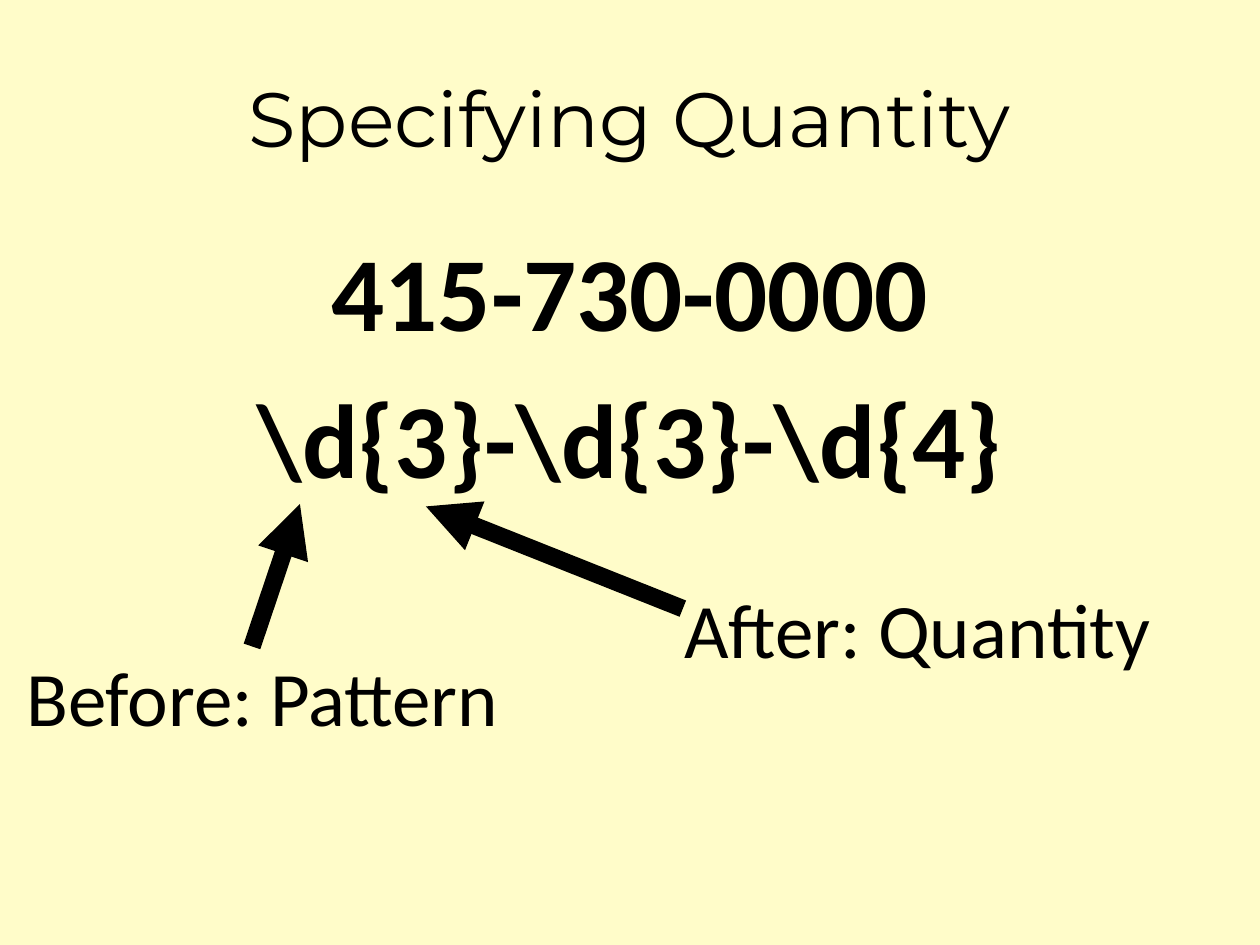
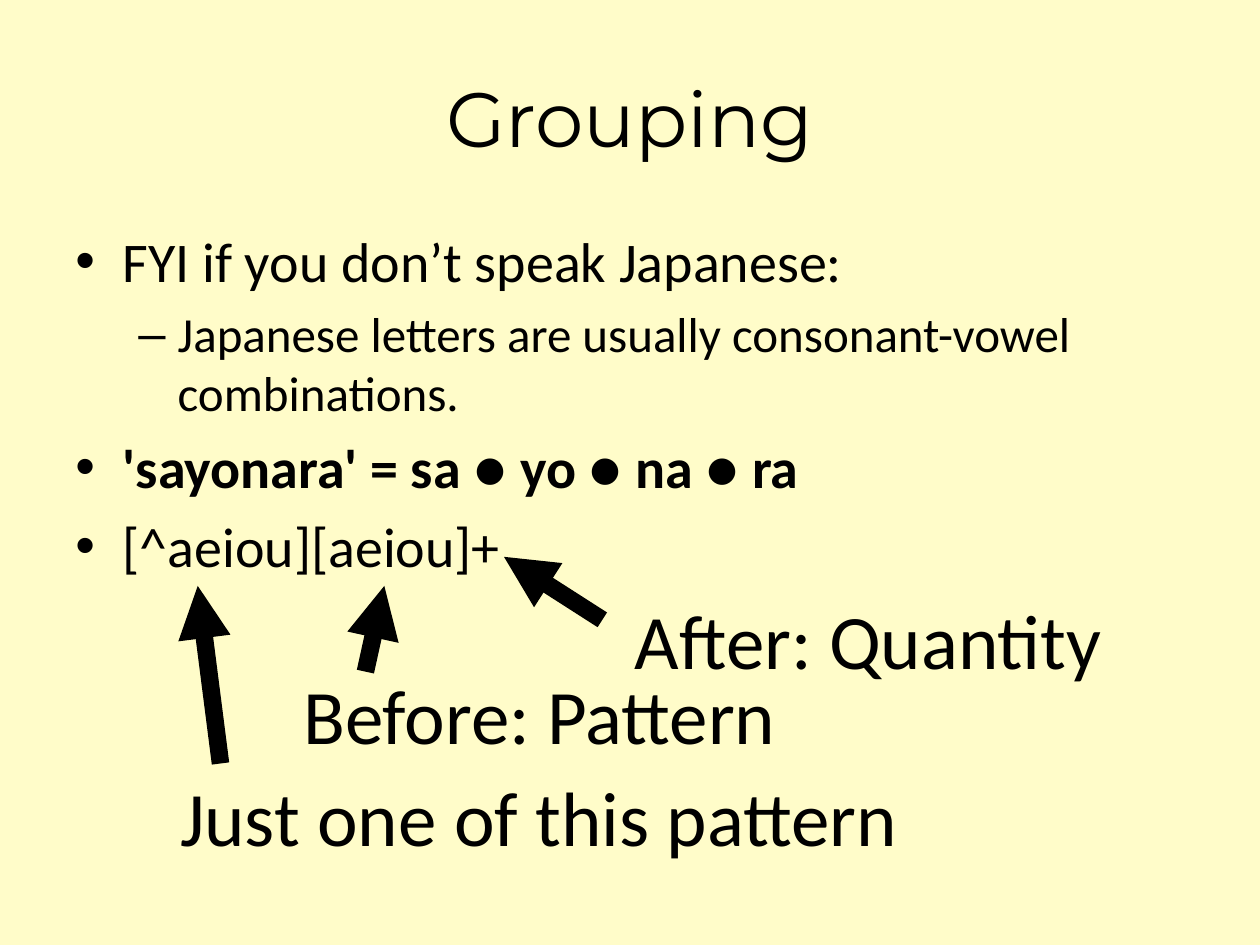
from lxml.etree import SubElement
from pptx import Presentation
from pptx.dml.color import RGBColor
from pptx.enum.shapes import MSO_CONNECTOR as Conn
from pptx.enum.text import MSO_ANCHOR as Anchor, MSO_AUTO_SIZE as Fit, PP_ALIGN as Align
from pptx.oxml.ns import qn
from pptx.util import Pt

CREAM = RGBColor(0xFF, 0xFC, 0xC9)
BLACK = RGBColor(0x00, 0x00, 0x00)
HEAD_FONT, BODY_FONT = "Montserrat", "Calibri"
NOTE_SIZE = 44
# Bullet sign, left margin, hanging indent and text size of each level
LEVELS = [("\u2022", 27, 27, 32), ("\u2013", 58.5, 22.5, 28)]


def style(para, size, font=BODY_FONT, bold=False):
    """Format the runs of a paragraph."""
    for run in para.runs:
        run.font.name = font
        run.font.size = Pt(size)
        run.font.bold = bold
        run.font.color.rgb = BLACK


def add_slide(prs, title):
    """Add a slide with a centred title."""
    slide = prs.slides.add_slide(prs.slide_layouts[5])
    head = slide.shapes.title
    head.left, head.top, head.width, head.height = Pt(36), Pt(21.6), Pt(648), Pt(90)
    frame = head.text_frame
    frame.text = title
    frame.auto_size = Fit.NONE
    frame.vertical_anchor = Anchor.MIDDLE
    frame.paragraphs[0].alignment = Align.CENTER
    style(frame.paragraphs[0], 44, HEAD_FONT)
    return slide


def add_box(slide, left, top, width, height):
    """Add a wrapping text box and return its frame."""
    box = slide.shapes.add_textbox(Pt(left), Pt(top), Pt(width), Pt(height))
    box.text_frame.word_wrap = True
    return box.text_frame


def add_body(slide, lines):
    """Add the main text and return its paragraphs."""
    frame = add_box(slide, 36, 126, 648, 356.4)
    frame.text = "\n".join(lines)
    return frame.paragraphs


def add_space(paras, sizes):
    """Put a fifth of the text size between paragraphs."""
    for para, size in list(zip(paras, sizes))[1:]:
        para.space_before = Pt(0.2 * size)


def add_sample(slide, lines, size=60):
    """Add large centred bold lines."""
    paras = add_body(slide, lines)
    for para in paras:
        para.alignment = Align.CENTER
        style(para, size, bold=True)
    add_space(paras, [size] * len(lines))


def add_list(slide, items):
    """Add a bulleted list of (level, text, bold) items."""
    paras = add_body(slide, [text for _, text, _ in items])
    for para, (level, _, bold) in zip(paras, items):
        sign, left, hang, size = LEVELS[level]
        para.level = level
        style(para, size, bold=bold)
    add_space(paras, [LEVELS[level][3] for level, _, _ in items])
    for para, (level, _, _) in zip(paras, items):
        sign, left, hang, _ = LEVELS[level]
        props = para._p.get_or_add_pPr()
        props.set("marL", str(Pt(left)))
        props.set("indent", str(-Pt(hang)))
        SubElement(props, qn("a:buFont")).set("typeface", "Arial")
        SubElement(props, qn("a:buChar")).set("char", sign)


def add_note(slide, text, left, top, width=293.8):
    """Add a large label."""
    frame = add_box(slide, left, top, width, 60.5)
    frame.auto_size = Fit.SHAPE_TO_FIT_TEXT
    frame.text = text
    style(frame.paragraphs[0], NOTE_SIZE)


def add_arrow(slide, start, end):
    """Add a thick arrow that points at end."""
    ends = [Pt(value) for value in (*start, *end)]
    arrow = slide.shapes.add_connector(Conn.STRAIGHT, *ends)
    arrow.line.color.rgb = BLACK
    arrow.line.width = Pt(10)
    SubElement(arrow.line._get_or_add_ln(), qn("a:tailEnd")).set("type", "triangle")
    SubElement(arrow._element.spPr, qn("a:effectLst"))


def quantity(prs):
    """Build the slide on quantity."""
    slide = add_slide(prs, "Specifying Quantity")
    add_sample(slide, ["415-730-0000", r"\d{3}-\d{3}-\d{4}"])
    add_arrow(slide, (144, 369.4), (171.4, 288))
    add_note(slide, "Before: Pattern", 7.9, 367.9)
    add_arrow(slide, (390.2, 347.8), (243.4, 289.4))
    add_note(slide, "After: Quantity", 383.8, 329)


def grouping(prs):
    """Build the slide on grouping."""
    slide = add_slide(prs, "Grouping")
    add_list(slide, [
        (0, "FYI if you don\u2019t speak Japanese:", False),
        (1, "Japanese letters are usually consonant-vowel combinations.", False),
        (0, "'sayonara' = sa \u25cf yo \u25cf na \u25cf ra", True),
        (0, "[^aeiou][aeiou]+", False),
    ])
    add_arrow(slide, (208.8, 383.8), (219.6, 334.8))
    add_note(slide, "Before: Pattern", 166.3, 378)
    add_arrow(slide, (344.2, 354.2), (288, 318.2))
    add_note(slide, "After: Quantity", 355.7, 334.8)
    add_arrow(slide, (126, 436.3), (113, 334.8))
    add_note(slide, "Just one of this pattern", 95.8, 436.3, 491.8)


def main():
    """Build and save the slides."""
    prs = Presentation()
    prs.slide_width, prs.slide_height = Pt(720), Pt(540)
    fill = prs.slide_master.background.fill
    fill.solid()
    fill.fore_color.rgb = CREAM
    quantity(prs)
    grouping(prs)
    prs.save("out.pptx")


main()
